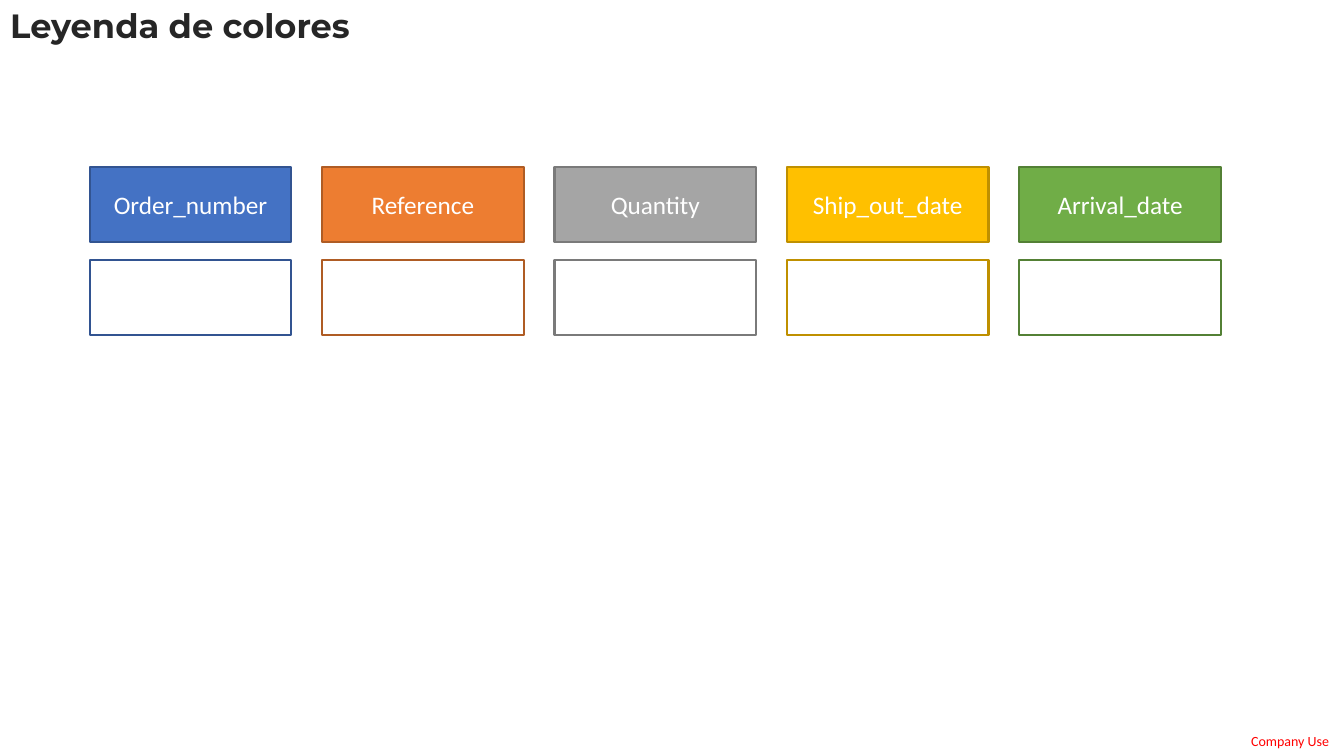
from pptx import Presentation
from pptx.dml.color import RGBColor
from pptx.enum.shapes import MSO_SHAPE
from pptx.enum.text import MSO_ANCHOR, PP_ALIGN
from pptx.util import Inches, Pt

COLORS = {
    "title": "262626",
    "label": "FFFFFF",
    "footer": "FF0000",
}
FIELDS = [  # label, fill, border
    ("Order_number", "4472C4", "325491"),
    ("Reference", "ED7D31", "AF5C24"),
    ("Quantity", "A5A5A5", "7A7A7A"),
    ("Ship_out_date", "FFC000", "BF9000"),
    ("Arrival_date", "70AD47", "538035"),
]
LEFT, STEP, WIDTH, HEIGHT = 0.89, 2.305, 2, 0.74
FILLED_TOP, OUTLINED_TOP = 1.66, 2.58


def write(frame, text, color, align, anchor, **font_format):
    """Fill a text frame with one formatted paragraph."""
    frame.word_wrap = True
    frame.vertical_anchor = anchor
    paragraph = frame.paragraphs[0]
    paragraph.alignment = align
    run = paragraph.add_run()
    run.text = text
    run.font.color.rgb = RGBColor.from_string(color)
    for attribute, value in font_format.items():
        setattr(run.font, attribute, value)


def add_box(left, top, border):
    box = slide.shapes.add_shape(
        MSO_SHAPE.RECTANGLE, Inches(left), Inches(top), Inches(WIDTH), Inches(HEIGHT))
    box.shadow.inherit = False
    box.line.color.rgb = RGBColor.from_string(border)
    box.line.width = Pt(1.5)
    return box


prs = Presentation()
prs.slide_width, prs.slide_height = Inches(13.33), Inches(7.5)
slide = prs.slides.add_slide(prs.slide_layouts[5])

title = slide.shapes.title
title.left, title.top = Inches(0), Inches(0)
title.width, title.height = Inches(4.23), Inches(0.5)
write(title.text_frame, "Leyenda de colores", COLORS["title"], PP_ALIGN.LEFT,
      MSO_ANCHOR.TOP, name="Montserrat", size=Pt(24), bold=True)

for column, (label, fill, border) in enumerate(FIELDS):
    left = LEFT + column * STEP
    filled = add_box(left, FILLED_TOP, border)
    filled.fill.solid()
    filled.fill.fore_color.rgb = RGBColor.from_string(fill)
    write(filled.text_frame, label, COLORS["label"], PP_ALIGN.CENTER,
          MSO_ANCHOR.MIDDLE, name="Calibri", size=Pt(18))
    outlined = add_box(left, OUTLINED_TOP, border)
    outlined.fill.background()

footer = slide.shapes.add_textbox(Inches(12.25), Inches(7.21), Inches(1.09), Inches(0.29))
margins = {"margin_left": 0, "margin_top": 0, "margin_right": 0.16, "margin_bottom": 0}
for side, margin in margins.items():
    setattr(footer.text_frame, side, Inches(margin))
write(footer.text_frame, "Company Use", COLORS["footer"], PP_ALIGN.RIGHT,
      MSO_ANCHOR.MIDDLE, name="Calibri", size=Pt(10))

prs.save("out.pptx")
